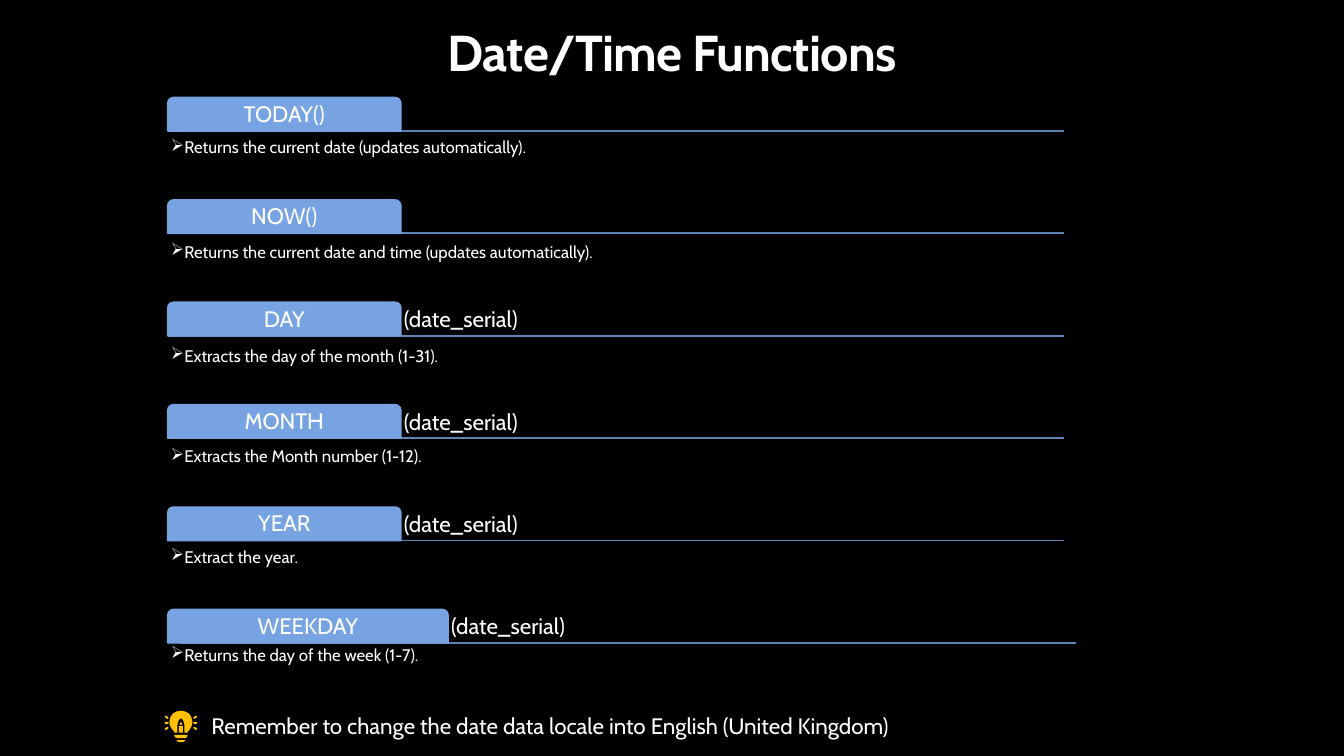
from lxml.etree import SubElement
from pptx import Presentation
from pptx.dml.color import RGBColor
from pptx.enum.shapes import MSO_CONNECTOR, MSO_SHAPE
from pptx.enum.text import MSO_ANCHOR, MSO_AUTO_SIZE, PP_ALIGN
from pptx.oxml.ns import qn
from pptx.util import Cm, Pt

FONT = "Cabin"
WHITE, BLACK = "FFFFFF", "000000"
TAB_BLUE, RULE_BLUE, BULB_YELLOW = "78A3E2", "6083B5", "FFC000"

LEFT, FIRST_RULE, ROW_PITCH = 4.23, 3.3, 2.58
ROW_WIDTH, TAB_HEIGHT, INSET = 22.58, 0.84, 0.08

# name, argument, description, tab width, rule shift, gap above description
FUNCTIONS = [
    ("TODAY()", "", "Returns the current date (updates automatically).", 5.87, 0, 0.13),
    ("NOW()", "", "Returns the current date and time (updates automatically).", 5.87, 0, 0.18),
    ("DAY", "(date_serial)", "Extracts the day of the month (1-31).", 5.87, 0, 0.22),
    ("MONTH", "(date_serial)", "Extracts the Month number (1-12).", 5.87, 0, 0.18),
    ("YEAR", "(date_serial)", "Extract the year.", 5.87, 0, 0.13),
    ("WEEKDAY", "(date_serial)", "Returns the day of the week (1-7).", 7.06, 0.3, 0.02),
]

# Right halves of the bulb's parts: hundredths of a cm from its axis and top
BULB_PROFILES = [
    [(0, 0), (11, 2), (20, 7), (26, 15), (29, 27), (28, 36), (23, 46), (18, 51),
     (17, 55), (9, 55), (9, 36), (6, 25), (2, 20), (0, 20)],
    [(0, 28), (4, 34), (0, 36)],
    [(0, 39), (5, 38), (5, 55), (0, 55)],
    [(0, 61), (17, 61), (15, 67), (9, 69), (0, 69)],
    [(0, 74), (11, 74), (9, 77), (5, 79), (0, 79)],
]


def color(hex_string):
    return RGBColor.from_string(hex_string)


def paint(shape, fill, line=None):
    shape.shadow.inherit = False
    shape.fill.solid()
    shape.fill.fore_color.rgb = color(fill)
    if line:
        shape.line.color.rgb = color(line)
        shape.line.width = Pt(1.25)
    else:
        shape.line.fill.background()


def write(shape, text, size=16, align=PP_ALIGN.LEFT, anchor=MSO_ANCHOR.TOP,
          inset=None, spacing=0.9, bold=False):
    """Put one formatted paragraph in the shape and return it."""
    frame = shape.text_frame
    frame.word_wrap = True
    frame.vertical_anchor = anchor
    if inset is not None:
        frame.margin_left = frame.margin_right = Cm(inset)
        frame.margin_top = frame.margin_bottom = Cm(inset)
    para = frame.paragraphs[0]
    para.alignment = align
    para.line_spacing = spacing
    span = para.add_run()
    span.text = text
    span.font.name = FONT
    span.font.size = Pt(size)
    span.font.bold = bold
    span.font.color.rgb = color(WHITE)
    return para


def add_text(page, left, top, width, height, text, **style):
    box = page.shapes.add_textbox(Cm(left), Cm(top), Cm(width), Cm(height))
    return box, write(box, text, **style)


def add_bullet(para, mark):
    para.level = 1
    properties = para._p.get_or_add_pPr()
    properties.set("marL", str(Cm(0.3)))
    properties.set("indent", str(Cm(-0.3)))
    SubElement(properties, qn("a:buChar")).set("char", mark)


def add_title(page, left, top, width, height):
    title = page.shapes.title
    title.left, title.top = Cm(left), Cm(top)
    title.width, title.height = Cm(width), Cm(height)
    para = write(title, "Date/Time Functions", size=36, bold=True,
                 align=PP_ALIGN.CENTER, anchor=MSO_ANCHOR.MIDDLE)
    para.runs[0].font._element.set("spc", "-50")


def add_rule(page, left, top, width):
    rule = page.shapes.add_connector(
        MSO_CONNECTOR.STRAIGHT, Cm(left), Cm(top), Cm(left + width), Cm(top))
    rule.line.color.rgb = color(RULE_BLUE)
    rule.line.width = Pt(1.25)
    SubElement(rule._element.spPr, qn("a:effectLst"))


def add_function(page, left, rule_top, width, function):
    """Place a tab, its argument, the rule below and the description."""
    name, argument, description, tab_width, rule_shift, gap = function
    tab_top = rule_top - TAB_HEIGHT
    add_rule(page, left + rule_shift, rule_top, width)
    tab = page.shapes.add_shape(MSO_SHAPE.ROUND_2_SAME_RECTANGLE, Cm(left),
                                Cm(tab_top), Cm(tab_width), Cm(TAB_HEIGHT))
    paint(tab, TAB_BLUE, TAB_BLUE)
    write(tab, name, align=PP_ALIGN.CENTER, anchor=MSO_ANCHOR.MIDDLE, inset=INSET)
    if argument:
        add_text(page, left + tab_width, tab_top, width - tab_width, TAB_HEIGHT,
                 argument, anchor=MSO_ANCHOR.BOTTOM, inset=INSET)
    _, para = add_text(page, left, rule_top + gap, width, 1.7, description,
                       size=12, inset=INSET)
    add_bullet(para, "➢")


def add_bulb(page, axis, top):
    """Draw the light bulb, symmetric about its vertical axis."""
    shapes = page.shapes.add_group_shape().shapes
    for half in BULB_PROFILES:
        outline = half + [(-x, y) for x, y in reversed(half)]
        builder = shapes.build_freeform(*outline[0], scale=Cm(0.01))
        builder.add_line_segments(outline[1:], close=True)
        paint(builder.convert_to_shape(Cm(axis), Cm(top)), BULB_YELLOW)
    for side in (-1, 1):
        for step in (-1, 0, 1):
            ray = shapes.add_shape(
                MSO_SHAPE.ROUNDED_RECTANGLE, Cm(axis + side * 0.36 - 0.05),
                Cm(top + 0.3 + step * 0.14 - 0.02), Cm(0.1), Cm(0.05))
            ray.adjustments[0] = 0.5
            ray.rotation = side * step * 35
            paint(ray, BULB_YELLOW)


def add_reminder(page, left, top):
    add_bulb(page, left + 0.4, top + 0.08)
    box, _ = add_text(
        page, left + 0.92, top, 19.74, 0.94, spacing=1,
        text="Remember to change the date data locale into English (United Kingdom)")
    box.text_frame.auto_size = MSO_AUTO_SIZE.SHAPE_TO_FIT_TEXT


def main():
    deck = Presentation()
    deck.slide_width, deck.slide_height = Cm(33.87), Cm(19.05)
    page = deck.slides.add_slide(deck.slide_layouts[5])
    page.background.fill.solid()
    page.background.fill.fore_color.rgb = color(BLACK)
    add_title(page, 1.14, 0.5, 31.6, 1.78)
    for row, function in enumerate(FUNCTIONS):
        add_function(page, LEFT, FIRST_RULE + row * ROW_PITCH, ROW_WIDTH, function)
    add_reminder(page, 4.16, 17.83)
    deck.save("out.pptx")


if __name__ == "__main__":
    main()
